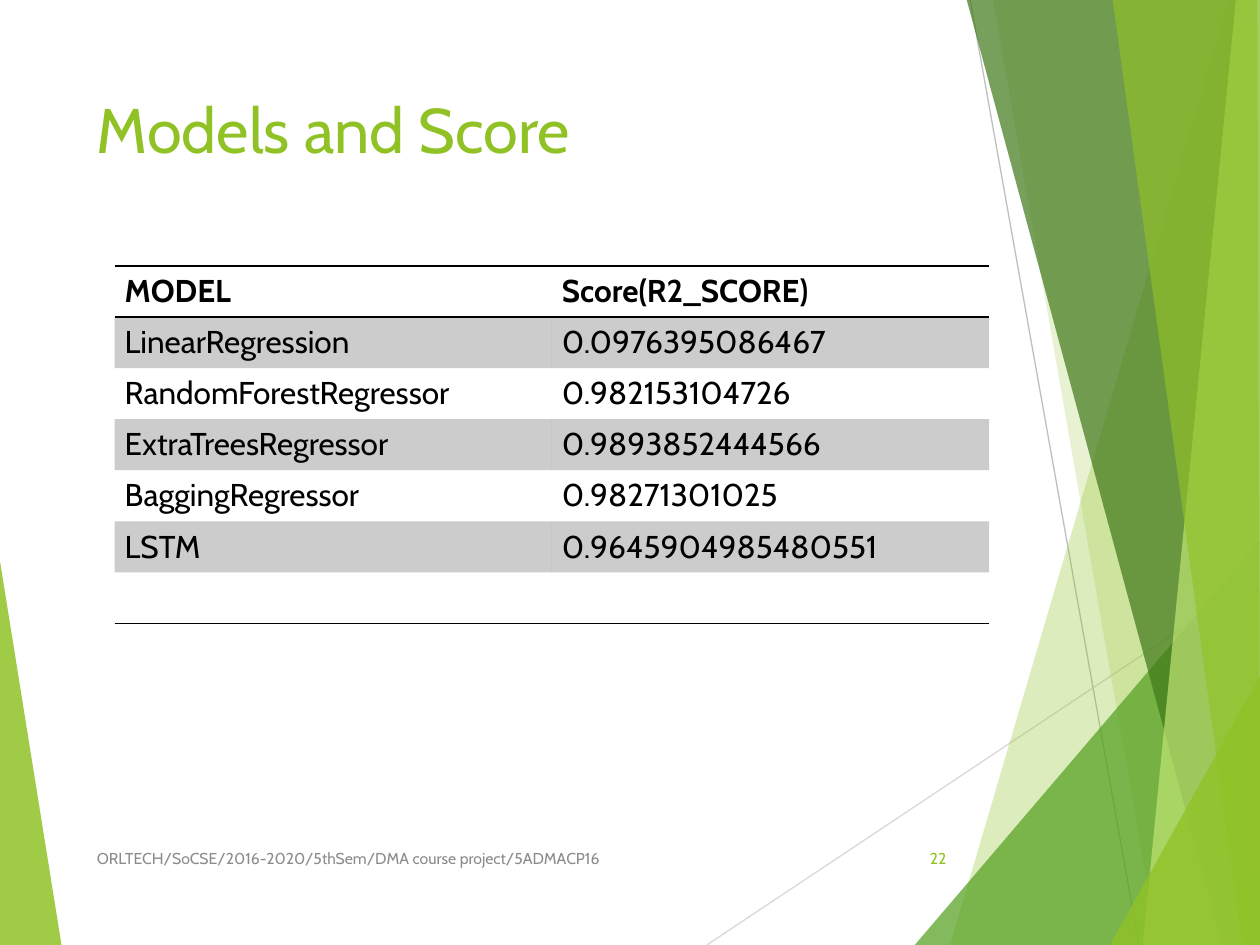
from dataclasses import dataclass

import lxml.etree
import pptx
import pptx.dml.color
import pptx.enum.shapes
import pptx.enum.text
import pptx.oxml.ns
import pptx.util
from pptx.util import Inches

FONT = "Cabin"
GREEN = "90C226"
BLACK = "000000"
PLAIN_TABLE_STYLE = "{2D5ABB26-0587-4C30-8999-92F81FD0307C}"
TOP, BOTTOM, RIGHT = -0.01, 7.5, 10.01
ALIGN = pptx.enum.text.PP_ALIGN
ANCHOR = pptx.enum.text.MSO_ANCHOR
qualified = pptx.oxml.ns.qn


@dataclass
class Facet:
    points: list[tuple[float, float]]
    color: str
    opacity: int


@dataclass
class Ray:
    start: tuple[float, float]
    end: tuple[float, float]
    color: str


@dataclass
class Label:
    text: str
    box: tuple[float, float, float, float]
    size: float
    color: str
    anchor: ANCHOR = ANCHOR.MIDDLE
    align: ALIGN = ALIGN.LEFT


BACKDROP = [
    Facet([(-0.01, 4.39), (0.49, 7.51), (-0.01, 7.5)], GREEN, 85),
    Ray((5.61, 7.5), (10.01, 4.57), "D9D9D9"),
    Ray((7.7, 0), (9.04, 7.5), "BFBFBF"),
    Facet([(9.75, 0), (7.54, BOTTOM), (10.02, 7.51), (RIGHT, 0.01)], GREEN, 30),
    Facet([(7.88, TOP), (9.19, BOTTOM), (RIGHT, BOTTOM), (RIGHT, TOP)], GREEN, 20),
    Facet([(7.26, BOTTOM), (10, 4.29), (RIGHT, BOTTOM)], "54A021", 72),
    Facet([(7.67, TOP), (9.7, BOTTOM), (RIGHT, BOTTOM), (RIGHT, TOP)], "3F7819", 70),
    Facet([(9.81, TOP), (9.07, BOTTOM), (RIGHT, BOTTOM), (10, TOP)], "C0E474", 70),
    Facet([(8.83, TOP), (9.86, BOTTOM), (10, BOTTOM), (9.98, TOP)], GREEN, 65),
    Facet([(8.81, BOTTOM), (RIGHT, 5.35), (RIGHT, BOTTOM)], GREEN, 80),
]

LABELS = [
    Label("Models and Score", (0.67, 0.67, 6.94, 1.44), 36, GREEN, ANCHOR.TOP),
    Label("ORLTECH/SoCSE/2016-2020/5thSem/DMA course project/5ADMACP16",
          (0.67, 6.61, 5.06, 0.4), 9, "8C8C8C"),
    Label("22", (7.05, 6.61, 0.56, 0.4), 9, GREEN, align=ALIGN.RIGHT),
]

SCORES = [
    ("MODEL", "Score(R2_SCORE)"),
    ("LinearRegression", "0.0976395086467"),
    ("RandomForestRegressor", "0.982153104726"),
    ("ExtraTreesRegressor", "0.9893852444566"),
    ("BaggingRegressor", "0.98271301025"),
    ("LSTM", "0.9645904985480551"),
    ("", ""),
]


def rgb(color: str) -> pptx.dml.color.RGBColor:
    return pptx.dml.color.RGBColor.from_string(color)


def fill_solid(fill, color: str, opacity: int, parent) -> None:
    fill.solid()
    fill.fore_color.rgb = rgb(color)
    color_element = parent.find(qualified("a:solidFill")).find(qualified("a:srgbClr"))
    lxml.etree.SubElement(color_element, qualified("a:alpha"), val=str(opacity * 1000))


def set_font(paragraph, size: float, color: str, bold: bool = False) -> None:
    paragraph.font.name = FONT
    paragraph.font.size = pptx.util.Pt(size)
    paragraph.font.bold = bold
    paragraph.font.color.rgb = rgb(color)


def draw_facet(slide, facet: Facet) -> None:
    points = [(Inches(x), Inches(y)) for x, y in facet.points]
    builder = slide.shapes.build_freeform(*points[0])
    builder.add_line_segments(points[1:], close=True)
    shape = builder.convert_to_shape()
    shape.shadow.inherit = False
    shape.line.fill.background()
    fill_solid(shape.fill, facet.color, facet.opacity, shape._element.spPr)


def draw_ray(slide, ray: Ray) -> None:
    connector = slide.shapes.add_connector(
        pptx.enum.shapes.MSO_CONNECTOR.STRAIGHT,
        *(Inches(value) for value in ray.start + ray.end))
    connector.line.color.rgb = rgb(ray.color)
    connector.line.width = pptx.util.Pt(0.75)
    lxml.etree.SubElement(connector._element.spPr, qualified("a:effectLst"))


def draw_label(slide, label: Label) -> None:
    frame = slide.shapes.add_textbox(*(Inches(value) for value in label.box)).text_frame
    frame.word_wrap = True
    frame.vertical_anchor = label.anchor
    paragraph = frame.paragraphs[0]
    paragraph.text = label.text
    paragraph.alignment = label.align
    set_font(paragraph, label.size, label.color)


def add_border(cell, side: str) -> None:
    properties = cell._tc.get_or_add_tcPr()
    line = lxml.etree.SubElement(properties, qualified(f"a:{side}"), w=str(pptx.util.Pt(1)))
    fill = lxml.etree.SubElement(line, qualified("a:solidFill"))
    lxml.etree.SubElement(fill, qualified("a:srgbClr"), val=BLACK)


def draw_score_table(slide, rows: list[tuple[str, str]]) -> None:
    frame = slide.shapes.add_table(
        len(rows), len(rows[0]), Inches(0.91), Inches(2.11), Inches(6.94), Inches(2.84))
    table = frame.table
    table.horz_banding = False
    table._tbl.tblPr.find(qualified("a:tableStyleId")).text = PLAIN_TABLE_STYLE
    last = len(rows) - 1
    for row_index, row in enumerate(rows):
        for column_index, text in enumerate(row):
            cell = table.cell(row_index, column_index)
            cell.margin_left = cell.margin_right = Inches(0.08)
            cell.margin_top = cell.margin_bottom = Inches(0.05)
            paragraph = cell.text_frame.paragraphs[0]
            paragraph.text = text
            set_font(paragraph, 18, BLACK, bold=row_index == 0)
            if row_index == 0:
                add_border(cell, "lnT")
            if row_index in (0, last):
                add_border(cell, "lnB")
            if row_index % 2:
                fill_solid(cell.fill, BLACK, 20, cell._tc.tcPr)
            else:
                cell.fill.background()


def main() -> None:
    presentation = pptx.Presentation()
    presentation.slide_width = Inches(10)
    presentation.slide_height = Inches(7.5)
    slide = presentation.slides.add_slide(presentation.slide_layouts[6])
    for element in BACKDROP:
        if isinstance(element, Facet):
            draw_facet(slide, element)
        else:
            draw_ray(slide, element)
    draw_score_table(slide, SCORES)
    for label in LABELS:
        draw_label(slide, label)
    presentation.save("out.pptx")


if __name__ == "__main__":
    main()
